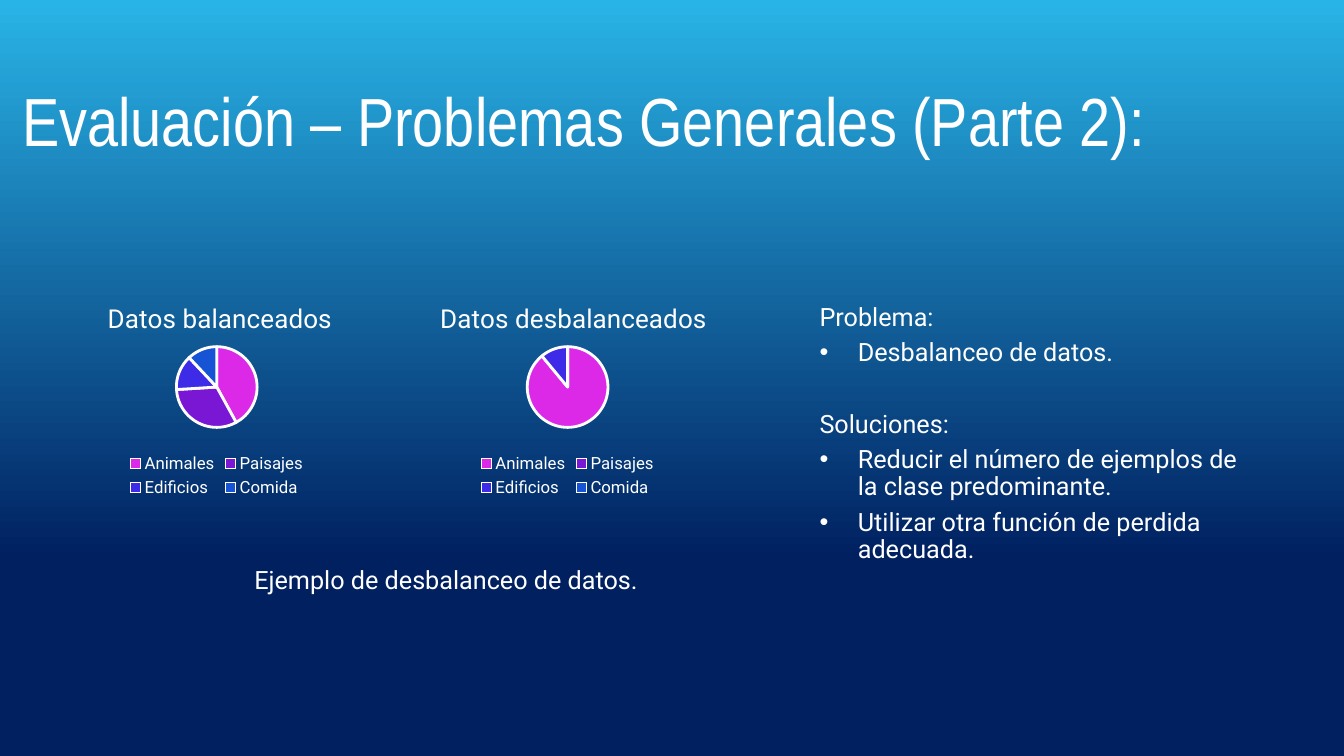
from dataclasses import dataclass

from lxml.etree import SubElement
from pptx import Presentation
from pptx.chart.chart import Chart
from pptx.chart.data import CategoryChartData
from pptx.dml.color import RGBColor
from pptx.enum.chart import XL_CHART_TYPE as ChartType, XL_LEGEND_POSITION as LegendPos
from pptx.enum.text import MSO_ANCHOR as Anchor, MSO_AUTO_SIZE as AutoSize, PP_ALIGN as Align
from pptx.oxml import parse_xml
from pptx.oxml.ns import nsdecls, qn
from pptx.slide import Slide
from pptx.text.text import Font, TextFrame, _Paragraph as Paragraph
from pptx.util import Inches, Pt

WHITE = RGBColor(0xFF, 0xFF, 0xFF)
SKY = RGBColor(0x29, 0xB4, 0xE7)
NAVY = RGBColor(0x00, 0x20, 0x60)
SLICE_COLORS = (
    RGBColor(0xDB, 0x29, 0xE7),
    RGBColor(0x7A, 0x17, 0xD5),
    RGBColor(0x3E, 0x2B, 0xE7),
    RGBColor(0x17, 0x53, 0xD5),
)
CATEGORIES = ("Animales", "Paisajes", "Edificios", "Comida")
BODY_FONT = "Roboto"
BULLET_INDENT = Inches(0.38)


@dataclass(frozen=True)
class Pie:
    title: str
    left: float
    title_x: float
    values: tuple[int, ...]


@dataclass(frozen=True)
class Line:
    text: str
    bullet: bool = False
    space_before: float = 0


PIES = (
    Pie("Datos balanceados", 0.33, 0.19, (42, 32, 14, 12)),
    Pie("Datos desbalanceados", 3.81, 0.14, (89, 0, 11, 0)),
)
LINES = (
    Line("Problema:"),
    Line("Desbalanceo de datos.", bullet=True),
    Line("Soluciones:", space_before=25.5),
    Line("Reducir el número de ejemplos de la clase predominante.", bullet=True),
    Line("Utilizar otra función de perdida adecuada.", bullet=True),
)


def style_font(font: Font, size: float, name: str = BODY_FONT) -> None:
    font.name = name
    font.size = Pt(size)
    font.bold = False
    font.color.rgb = WHITE


def add_run(p: Paragraph, text: str, size: float = 18, name: str = BODY_FONT) -> None:
    r = p.add_run()
    r.text = text
    style_font(r.font, size, name)


def add_bullet(p: Paragraph) -> None:
    pPr = p._p.get_or_add_pPr()
    pPr.set("marL", str(BULLET_INDENT))
    pPr.set("indent", str(-BULLET_INDENT))
    SubElement(pPr, qn("a:buFont")).set("typeface", "Arial")
    SubElement(pPr, qn("a:buChar")).set("char", "•")


def add_text_box(s: Slide, left: float, top: float, width: float, height: float) -> TextFrame:
    box = s.shapes.add_textbox(Inches(left), Inches(top), Inches(width), Inches(height))
    box.text_frame.word_wrap = True
    return box.text_frame


def layout_xml(**fractions: float):
    """Build a manual chart layout from fractions of the chart's size."""
    target = '<c:layoutTarget val="inner"/>' if "w" in fractions else ""
    modes = "".join(f'<c:{key}Mode val="edge"/>' for key in "xy")
    sizes = "".join(f'<c:{key} val="{value}"/>' for key, value in fractions.items())
    return parse_xml(
        f'<c:layout {nsdecls("c")}><c:manualLayout>{target}{modes}{sizes}'
        "</c:manualLayout></c:layout>"
    )


def place_chart_parts(chart: Chart, title_x: float) -> None:
    """Fix the places of the chart title and the pie."""
    title = chart.chart_title._element
    plot_area = chart._chartSpace.chart.plotArea
    for parent in (title, plot_area):
        for layout in parent.findall(qn("c:layout")):
            parent.remove(layout)
    title.find(qn("c:tx")).addnext(layout_xml(x=title_x, y=0.06))
    plot_area.insert(0, layout_xml(x=0.39, y=0.29, w=0.22, h=0.37))


def add_pie(s: Slide, pie: Pie) -> None:
    data = CategoryChartData()
    data.categories = CATEGORIES
    data.add_series("Series 1", pie.values)
    chart = s.shapes.add_chart(
        ChartType.PIE, Inches(pie.left), Inches(2.81), Inches(3.64), Inches(2.17), data
    ).chart
    style_font(chart.font, 10)

    chart.has_title = True
    add_run(chart.chart_title.text_frame.paragraphs[0], pie.title, 18.6)
    chart.chart_title.include_in_layout = False
    chart.has_legend = True
    chart.legend.position = LegendPos.BOTTOM
    chart.legend.include_in_layout = False
    style_font(chart.legend.font, 12)

    plot = chart.plots[0]
    plot.vary_by_categories = True
    for i, color in enumerate(SLICE_COLORS):
        fmt = plot.series[0].points[i].format
        fmt.fill.solid()
        fmt.fill.fore_color.rgb = color
        fmt.line.color.rgb = WHITE
        fmt.line.width = Pt(2)
    place_chart_parts(chart, pie.title_x)


def set_background(s: Slide) -> None:
    fill = s.background.fill
    fill.gradient()
    fill.gradient_angle = 270
    for stop, color, position in zip(fill.gradient_stops, (SKY, NAVY), (0, 0.74)):
        stop.color.rgb = color
        stop.position = position


def add_title(s: Slide) -> None:
    title = s.shapes.title
    title.left, title.top = Inches(0.12), Inches(0)
    title.width, title.height = Inches(12.52), Inches(2.35)
    tf = title.text_frame
    tf.auto_size = AutoSize.NONE
    tf.vertical_anchor = Anchor.BOTTOM
    tf.margin_bottom = Inches(0.75)
    p = tf.paragraphs[0]
    p.alignment = Align.LEFT
    p.line_spacing = 0.9
    add_run(p, "Evaluación – Problemas Generales (Parte 2):", 48.6, "Arial Narrow")


def add_explanation(s: Slide) -> None:
    tf = add_text_box(s, 8.03, 2.97, 4.55, 2.98)
    for i, line in enumerate(LINES):
        p = tf.add_paragraph() if i else tf.paragraphs[0]
        p.line_spacing = 0.9
        p.space_before = Pt(line.space_before)
        p.space_after = Pt(6)
        if line.bullet:
            add_bullet(p)
        add_run(p, line.text)


def main() -> None:
    prs = Presentation()
    prs.slide_width, prs.slide_height = Inches(13.33), Inches(7.5)
    s = prs.slides.add_slide(prs.slide_layouts.get_by_name("Title Only"))
    set_background(s)
    add_title(s)

    caption = add_text_box(s, 2.07, 5.55, 4.71, 0.4).paragraphs[0]
    caption.alignment = Align.CENTER
    add_run(caption, "Ejemplo de desbalanceo de datos.")

    add_explanation(s)
    for pie in PIES:
        add_pie(s, pie)
    prs.save("out.pptx")


if __name__ == "__main__":
    main()
